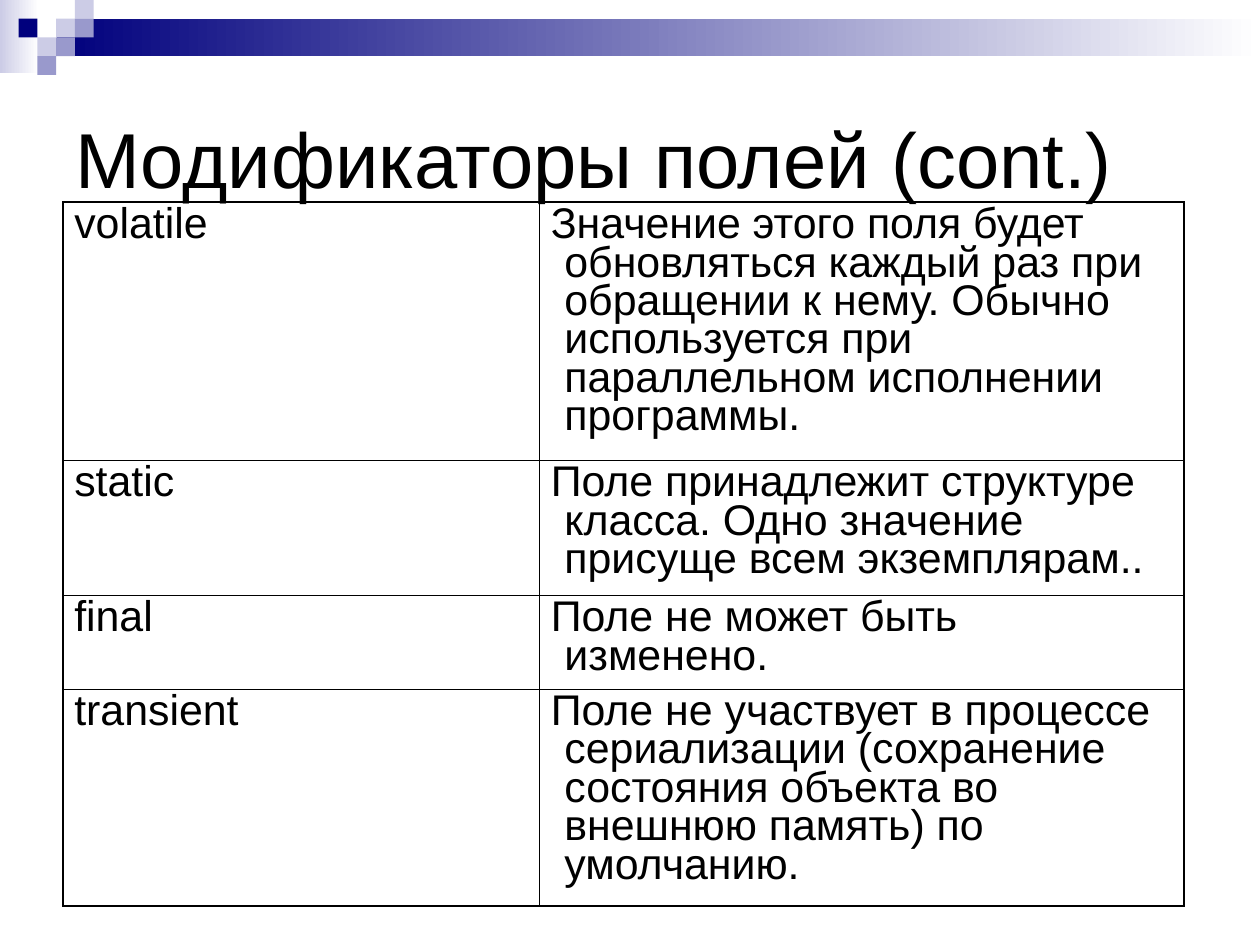
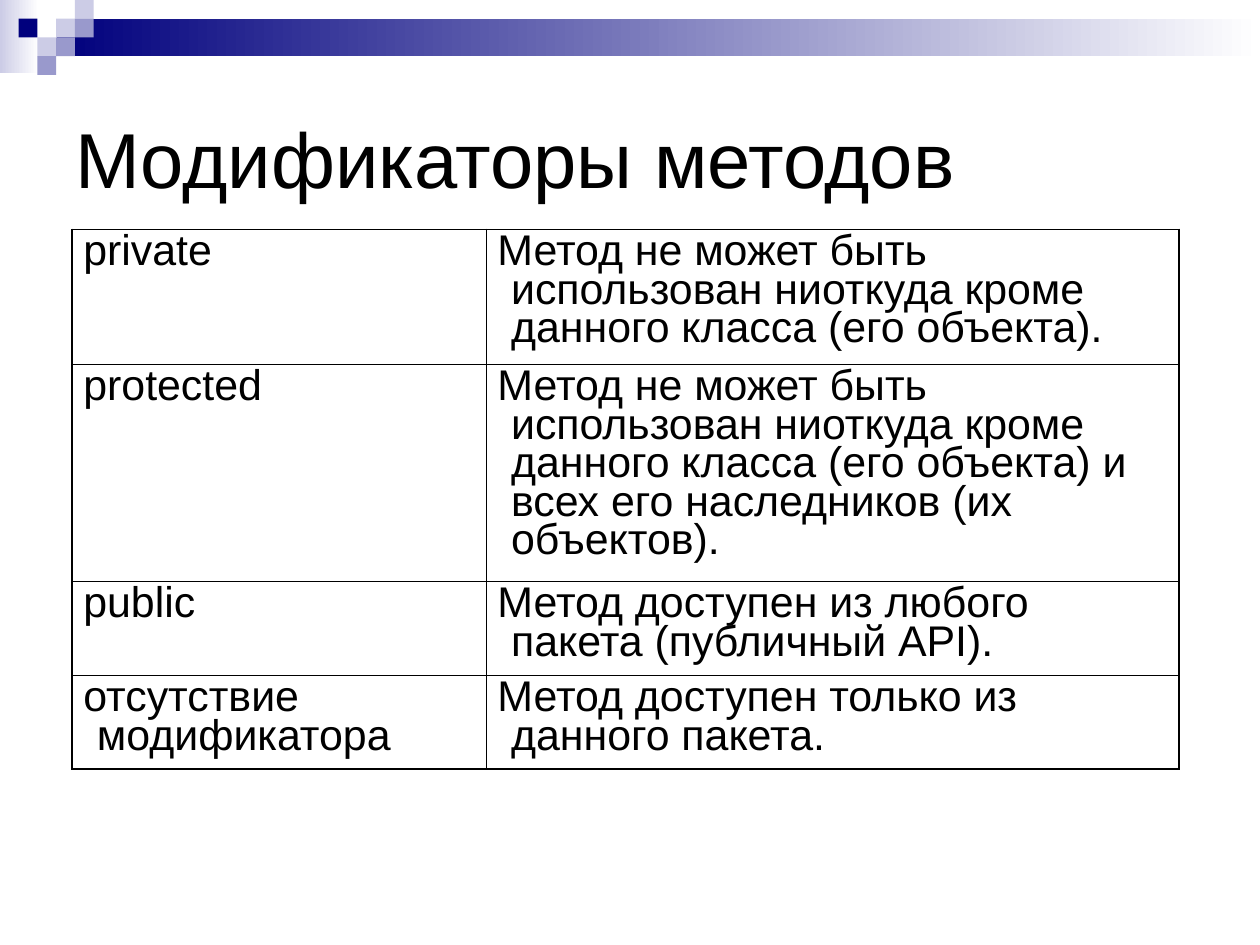
from lxml import etree
from pptx import Presentation
from pptx.dml.color import RGBColor
from pptx.enum import shapes, text
from pptx.oxml import ns
from pptx.util import Pt

NAVY = RGBColor(0x00, 0x00, 0x7D)
MID = RGBColor(0x99, 0x99, 0xCC)
PALE = RGBColor(0xCC, 0xCC, 0xE6)
WHITE = RGBColor(0xFF, 0xFF, 0xFF)
BLACK = RGBColor(0x00, 0x00, 0x00)
FACE = "Arial"
WIDE, HIGH = 793.75, 595.25
UNIT = 11.8
THICK, THIN = 1.08, 0.45
HANG = 8.6

BLOCKS = [
    (0, 0, 24.5, 46, PALE, WHITE),
    (36, UNIT, WIDE - 36, 2 * UNIT, NAVY, WHITE),
]
for col, row, tint in [
    (3, 1, PALE), (4, 0, PALE), (4, 1, MID), (2, 2, PALE),
    (1, 1, NAVY), (3, 2, MID), (2, 3, MID),
]:
    BLOCKS.append((col * UNIT, row * UNIT, UNIT, UNIT, tint, None))

PAGES = [
    ("Модификаторы полей (cont.)", 39.6, 127.4, (300.2, 406.1), [
        (162.7, "volatile", "Значение этого поля будет обновляться каждый раз при обращении к нему. "
                            "Обычно используется при параллельном исполнении программы."),
        (85, "static", "Поле принадлежит структуре класса. Одно значение присуще всем экземплярам.."),
        (59, "final", "Поле не может быть изменено."),
        (136.8, "transient", "Поле не участвует в процессе сериализации "
                             "(сохранение состояния объекта во внешнюю память) по умолчанию."),
    ]),
    ("Модификаторы методов", 45.3, 144.5, (260.9, 436.5), [
        (85, "private", "Метод не может быть использован ниоткуда кроме данного класса (его объекта)."),
        (136.8, "protected", "Метод не может быть использован ниоткуда кроме данного класса "
                             "(его объекта) и всех его наследников (их объектов)."),
        (59, "public", "Метод доступен из любого пакета (публичный API)."),
        (59, "отсутствие модификатора", "Метод доступен только из данного пакета."),
    ]),
]


def style(para, size):
    para.alignment = text.PP_ALIGN.LEFT
    para.font.name = FACE
    para.font.size = Pt(size)
    para.font.color.rgb = BLACK


def edge(cell, side, width):
    props = cell._tc.get_or_add_tcPr()
    line = etree.SubElement(props, ns.qn("a:ln" + side), w=str(Pt(width)))
    fill = etree.SubElement(line, ns.qn("a:solidFill"))
    etree.SubElement(fill, ns.qn("a:srgbClr"), val=str(BLACK))


deck = Presentation()
deck.slide_width, deck.slide_height = Pt(WIDE), Pt(HIGH)
plan = deck.slide_layouts[5]
head, *spare = plan.placeholders
for holder in spare:
    plan.shapes.element.remove(holder.element)
head.left, head.top, head.width, head.height = Pt(39.6), Pt(39.6), Pt(714.2), Pt(118.8)
frame = head.text_frame
frame.word_wrap = True
frame.auto_size = text.MSO_AUTO_SIZE.NONE
frame.vertical_anchor = text.MSO_ANCHOR.MIDDLE
frame.margin_left = frame.margin_right = Pt(7.9)
frame.margin_top = frame.margin_bottom = Pt(4.3)

slides = [deck.slides.add_slide(plan) for page in PAGES]

band = []
for left, top, width, height, tint, end in BLOCKS:
    block = slides[0].shapes.add_shape(
        shapes.MSO_SHAPE.RECTANGLE, Pt(left), Pt(top), Pt(width), Pt(height))
    block.shadow.inherit = False
    block.line.fill.background()
    if end is None:
        block.fill.solid()
        block.fill.fore_color.rgb = tint
    else:
        block.fill.gradient()
        block.fill.gradient_angle = 0
        for stop, shade in zip(block.fill.gradient_stops, (tint, end)):
            stop.color.rgb = shade
    band.append(block.element)
for rank, item in enumerate(band):
    plan.shapes.element.insert(2 + rank, item)

for slide, (name, left, top, widths, rows) in zip(slides, PAGES):
    title = slide.shapes.title
    title.text = name
    style(title.text_frame.paragraphs[0], 49)

    high = sum(row[0] for row in rows)
    grid = slide.shapes.add_table(
        len(rows), 2, Pt(left), Pt(top), Pt(sum(widths)), Pt(high)).table
    grid.first_row = grid.horz_banding = False
    for col, width in zip(grid.columns, widths):
        col.width = Pt(width)
    last = len(rows) - 1
    for r, (height, *words) in enumerate(rows):
        grid.rows[r].height = Pt(height)
        for c, word in enumerate(words):
            cell = grid.cell(r, c)
            cell.text = word
            para = cell.text_frame.paragraphs[0]
            style(para, 27)
            para.line_spacing = 0.8
            para.space_before = Pt(6.8)
            props = para._p.get_or_add_pPr()
            props.set("marL", str(Pt(HANG)))
            props.set("indent", str(Pt(-HANG)))
            for side, outer in (("L", c == 0), ("R", c == 1), ("T", r == 0), ("B", r == last)):
                edge(cell, side, THICK if outer else THIN)
            cell.fill.background()

deck.save("out.pptx")
